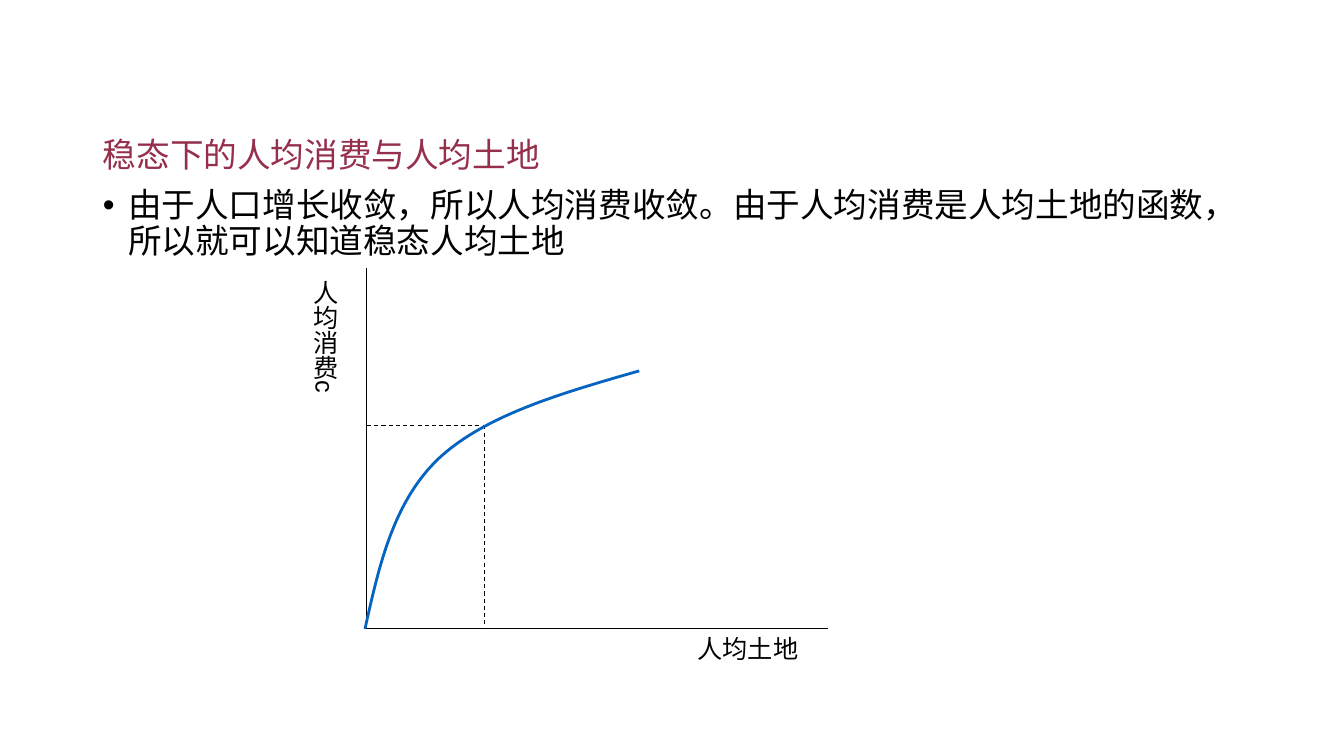
"""Build a slide on steady-state consumption per head and land per head."""
from lxml.etree import SubElement
from pptx import Presentation
from pptx.dml.color import RGBColor
from pptx.enum.dml import MSO_LINE
from pptx.enum.shapes import MSO_CONNECTOR
from pptx.enum.text import MSO_ANCHOR, MSO_AUTO_SIZE, PP_ALIGN
from pptx.oxml.ns import qn
from pptx.util import Inches, Pt

BLACK = RGBColor(0x00, 0x00, 0x00)
WINE = RGBColor(0x95, 0x2F, 0x4C)
BLUE = RGBColor(0x05, 0x63, 0xC1)
CJK_FONT = "Noto Sans CJK SC"


def format_run(run, size, color, font):
    run.font.size = Pt(size)
    run.font.color.rgb = color
    run.font.name = font
    SubElement(run.font._element, qn("a:ea")).set("typeface", CJK_FONT)


prs = Presentation()
prs.slide_width, prs.slide_height = Inches(13.33), Inches(7.5)
slide = prs.slides.add_slide(prs.slide_layouts[1])
unused_title = slide.shapes.title._element
unused_title.getparent().remove(unused_title)

explanation = slide.placeholders[1]
explanation.left, explanation.top = Inches(0.92), Inches(1.32)
explanation.width, explanation.height = Inches(11.35), Inches(5.44)
explanation.text_frame.text = (
    "稳态下的人均消费与人均土地\n"
    "由于人口增长收敛，所以人均消费收敛。由于人均消费是人均土地的函数，所以就可以知道稳态人均土地"
)
explanation.text_frame.auto_size = MSO_AUTO_SIZE.NONE
explanation.text_frame.vertical_anchor = MSO_ANCHOR.TOP
heading, reasoning = explanation.text_frame.paragraphs
for paragraph, color in ((heading, WINE), (reasoning, BLACK)):
    properties = paragraph._p.get_or_add_pPr()
    properties.set("marL", str(Inches(0.25)))
    properties.set("indent", str(Inches(-0.25)))
    if paragraph is heading:
        SubElement(properties, qn("a:buNone"))
    else:
        SubElement(properties, qn("a:buFont")).set("typeface", "Arial")
        SubElement(properties, qn("a:buChar")).set("char", "•")
    paragraph.alignment = PP_ALIGN.LEFT
    paragraph.line_spacing = 0.9
    paragraph.space_before = Pt(0 if paragraph is heading else 10)
    format_run(paragraph.runs[0], 24, color, CJK_FONT)

axis_x, axis_y = 3.64, 6.24
steady_land, steady_consumption = 4.81, 4.22
for x1, y1, x2, y2, dashed in (
    (axis_x, axis_y, axis_x, 2.66, False),
    (axis_x, axis_y, 8.21, axis_y, False),
    (axis_x, steady_consumption, steady_land, steady_consumption, True),
    (steady_land, steady_consumption, steady_land, axis_y, True),
):
    line = slide.shapes.add_connector(
        MSO_CONNECTOR.STRAIGHT, Inches(x1), Inches(y1), Inches(x2), Inches(y2)
    )
    line.line.color.rgb = BLACK
    line.line.width = Pt(0.75)
    if dashed:
        line.line.dash_style = MSO_LINE.DASH
    SubElement(line._element.spPr, qn("a:effectLst"))

curve_start = (3.62, 6.24)
bezier_spans = (
    (curve_start, (3.76, 5.61), (3.9, 4.98), (4.35, 4.55)),
    ((4.35, 4.55), (4.81, 4.12), (5.57, 3.9), (6.34, 3.68)),
)
steps = 24
curve_points = []
for span in bezier_spans:
    for step in range(1, steps + 1):
        t = step / steps
        weights = ((1 - t) ** 3, 3 * t * (1 - t) ** 2, 3 * t**2 * (1 - t), t**3)
        curve_points.append(
            tuple(
                Inches(sum(w * point[axis] for w, point in zip(weights, span)))
                for axis in (0, 1)
            )
        )
builder = slide.shapes.build_freeform(*(Inches(value) for value in curve_start))
builder.add_line_segments(curve_points, close=False)
consumption_curve = builder.convert_to_shape()
consumption_curve.shadow.inherit = False
consumption_curve.fill.background()
consumption_curve.line.color.rgb = BLUE
consumption_curve.line.width = Pt(2)

for label, left, top, width, height, vertical in (
    ("人均消费c", 2.93, 2.68, 0.5, 1.23, True),
    ("人均土地", 6.82, 6.23, 1.2, 0.4, False),
):
    axis_label = slide.shapes.add_textbox(
        Inches(left), Inches(top), Inches(width), Inches(height)
    )
    frame = axis_label.text_frame
    frame.text = label
    frame.word_wrap = False
    frame.auto_size = MSO_AUTO_SIZE.SHAPE_TO_FIT_TEXT
    if vertical:
        frame._txBody.bodyPr.set("vert", "eaVert")
    format_run(frame.paragraphs[0].runs[0], 18, BLACK, "Arial")

prs.save("out.pptx")
